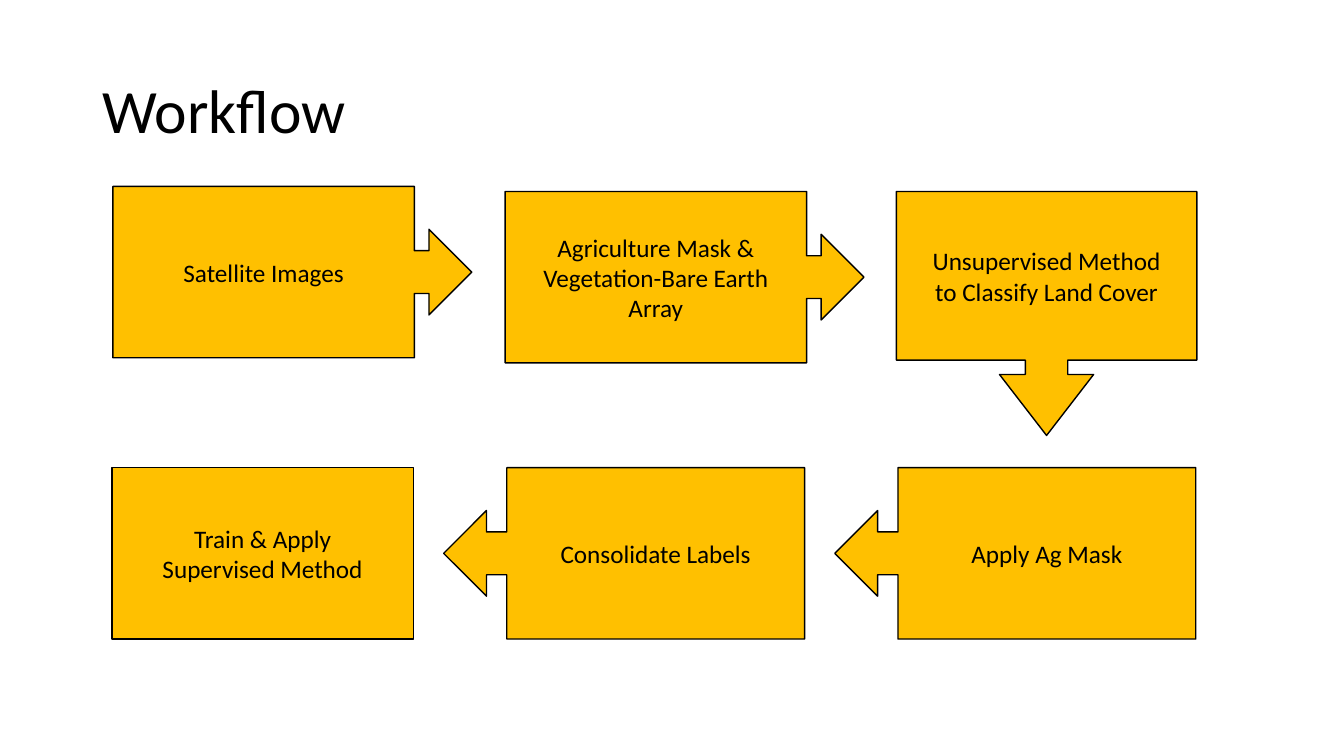
from pptx import Presentation
from pptx.dml.color import RGBColor
from pptx.enum.shapes import MSO_SHAPE
from pptx.enum.text import MSO_ANCHOR, PP_ALIGN
from pptx.util import Emu, Pt

EMU_PER_PX = 9144  # 100 px to the inch
FONT = "Calibri"
GOLD = RGBColor(0xFF, 0xC0, 0x00)
BLACK = RGBColor(0x00, 0x00, 0x00)

RECT = MSO_SHAPE.RECTANGLE
RIGHT = MSO_SHAPE.RIGHT_ARROW_CALLOUT
DOWN = MSO_SHAPE.DOWN_ARROW_CALLOUT
LEFT = MSO_SHAPE.LEFT_ARROW_CALLOUT
MIDDLE = MSO_ANCHOR.MIDDLE
CENTER = PP_ALIGN.CENTER

STEP_H = 170
BOTTOM_ROW = 464
ADJUSTMENTS = {
    RECT: (),
    RIGHT: (0.25, 0.25, 0.25, 0.84),
    DOWN: (0.174, 0.193, 0.25, 0.691),
    LEFT: (0.25, 0.25, 0.25, 0.825),
}

# kind, left, top, width, height, lines
STEPS = [
    (RIGHT, 112, 185, 356, STEP_H, ["Satellite Images"]),
    (RIGHT, 501, 190, 356, STEP_H,
     ["Agriculture Mask &", "Vegetation-Bare Earth Array"]),
    (DOWN, 889, 190, 298, 242,
     ["Unsupervised Method", "to Classify Land Cover"]),
    (LEFT, 828, BOTTOM_ROW, 358, STEP_H, ["Apply Ag Mask"]),
    (LEFT, 440, BOTTOM_ROW, 358, STEP_H, ["Consolidate Labels"]),
    (RECT, 111, BOTTOM_ROW, 299, STEP_H,
     ["Train & Apply", "Supervised Method"]),
]


def px(*lengths):
    return [Emu(n * EMU_PER_PX) for n in lengths]


def write(sp, lines, size, align=None, spacing=None):
    """Fill a shape with one paragraph per line, anchored in the middle."""
    tf = sp.text_frame
    tf.word_wrap = True
    tf.vertical_anchor = MIDDLE
    tf.text = "\n".join(lines)
    for p in tf.paragraphs:
        p.alignment = align
        p.line_spacing = spacing
        p.font.name = FONT
        p.font.size = Pt(size)
        p.font.color.rgb = BLACK


def add_title(slide, text):
    sp = slide.shapes.add_textbox(*px(92, 40, 1150, 145))
    write(sp, [text], 44, spacing=0.9)


def add_step(slide, kind, left, top, width, height, lines):
    sp = slide.shapes.add_shape(kind, *px(left, top, width, height))
    for i, value in enumerate(ADJUSTMENTS[kind]):
        sp.adjustments[i] = value
    sp.shadow.inherit = False
    sp.fill.solid()
    sp.fill.fore_color.rgb = GOLD
    sp.line.color.rgb = BLACK
    sp.line.width = Pt(1)
    write(sp, lines, 18, align=CENTER)


def main():
    prs = Presentation()
    prs.slide_width, prs.slide_height = px(1333, 750)
    slide = prs.slides.add_slide(prs.slide_layouts[6])
    add_title(slide, "Workflow")
    for step in STEPS:
        add_step(slide, *step)
    prs.save("out.pptx")


if __name__ == "__main__":
    main()
